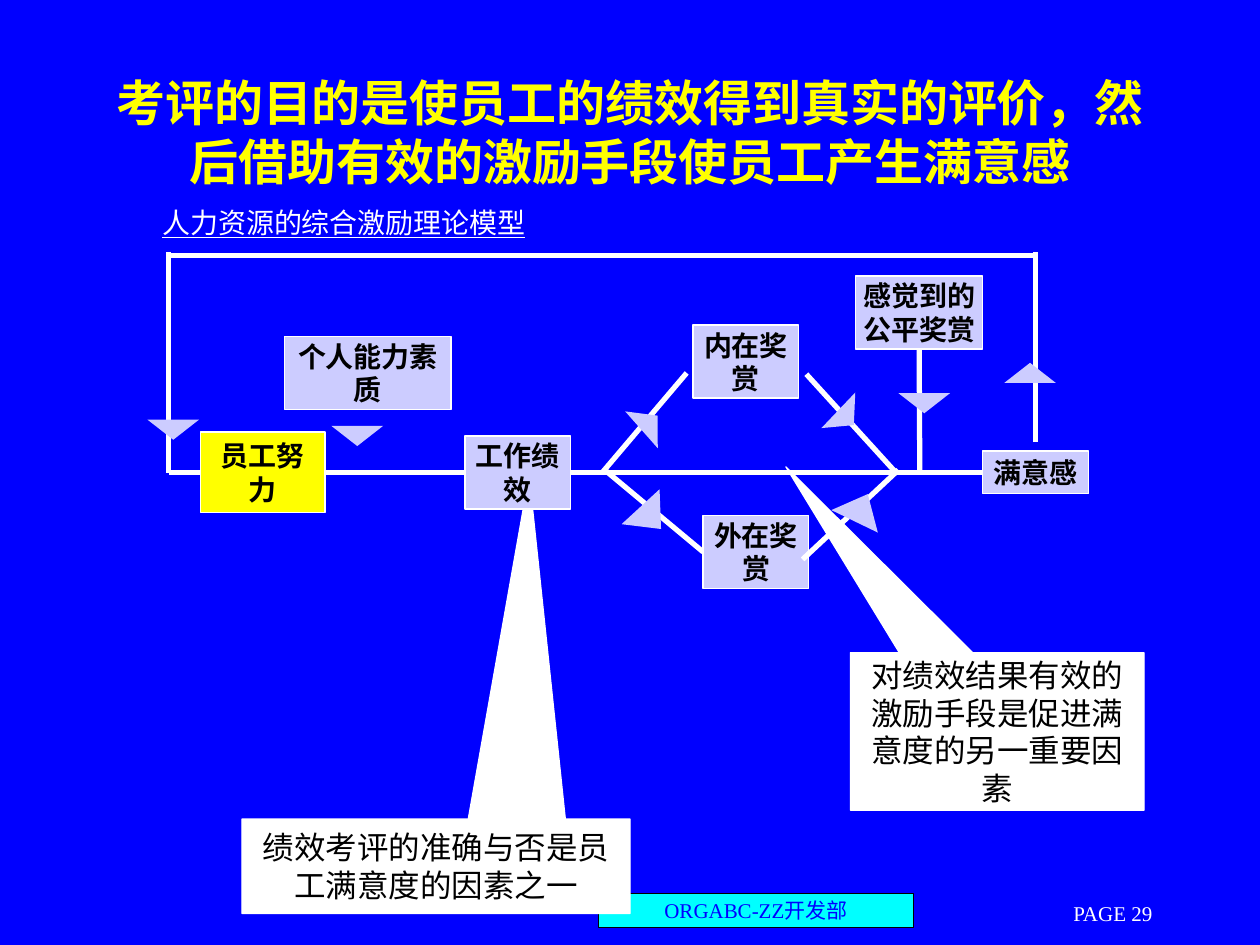
import pptx
import pptx.util
import pptx.dml.color
import pptx.enum.shapes
import pptx.enum.text
import pptx.oxml.ns
import lxml.etree

Inches = pptx.util.Inches
Pt = pptx.util.Pt
MSO_SHAPE = pptx.enum.shapes.MSO_SHAPE
ALIGN = pptx.enum.text.PP_ALIGN
COLORS = {
    "background": "0000FF",
    "title": "FFFF00",
    "effort": "FFFF00",
    "node": "CCCCFF",
    "white": "FFFFFF",
    "black": "000000",
    "footer": "00FFFF",
}
LATIN_FONT = "Times New Roman"
CHINESE_FONT = "Noto Sans CJK SC"


def rgb(name):
    return pptx.dml.color.RGBColor.from_string(COLORS[name])


def write(shape, text, size, color, bold=False, underline=False, font=LATIN_FONT,
          align=ALIGN.CENTER, wrap=True, margins=(0.1, 0.05)):
    frame = shape.text_frame
    frame.text = text
    frame.word_wrap = wrap
    frame.auto_size = pptx.enum.text.MSO_AUTO_SIZE.NONE
    frame.vertical_anchor = pptx.enum.text.MSO_ANCHOR.MIDDLE
    frame.margin_left = frame.margin_right = Inches(margins[0])
    frame.margin_top = frame.margin_bottom = Inches(margins[1])
    paragraph = frame.paragraphs[0]
    paragraph.alignment = align
    for run in paragraph.runs:
        run.font.size = Pt(size)
        run.font.bold = bold
        run.font.underline = underline
        run.font.color.rgb = rgb(color)
        run.font.name = font
        east_asian = lxml.etree.SubElement(run.font._element, pptx.oxml.ns.qn("a:ea"))
        east_asian.set("typeface", CHINESE_FONT)


def add_filled(slide, kind, box, fill, line=None):
    shape = slide.shapes.add_shape(kind, *map(Inches, box))
    shape.shadow.inherit = False
    shape.fill.solid()
    shape.fill.fore_color.rgb = rgb(fill)
    if line:
        shape.line.color.rgb = rgb(line)
        shape.line.width = Pt(0.75)
    else:
        shape.line.fill.background()
    return shape


def add_line(slide, start, end):
    line = slide.shapes.add_connector(
        pptx.enum.shapes.MSO_CONNECTOR.STRAIGHT, *map(Inches, (*start, *end)))
    line.line.color.rgb = rgb("white")
    line.line.width = Pt(3)
    lxml.etree.SubElement(line._element.spPr, pptx.oxml.ns.qn("a:effectLst"))
    return line


def add_title(slide, box, text):
    title = slide.shapes.title
    title.left, title.top, title.width, title.height = map(Inches, box)
    write(title, text, 28, "title", bold=True, font=CHINESE_FONT)


def add_subtitle(slide, box, text):
    subtitle = slide.shapes.add_textbox(*map(Inches, box))
    write(subtitle, text, 16, "white", underline=True, wrap=False)


def add_footer(slide, box):
    left, top, _, height = box
    department = add_filled(slide, MSO_SHAPE.RECTANGLE, (left, top, 2.5, height),
                            "footer", "black")
    write(department, "ORGABC-ZZ开发部", 12, "background", wrap=False)
    page = slide.shapes.add_textbox(
        *map(Inches, (left + 3.67, top + 0.03, 1.67, 0.25)))
    write(page, "PAGE 29", 12, "white", align=ALIGN.LEFT, wrap=False)


def add_callout(slide, box, text, tip):
    callout = add_filled(slide, MSO_SHAPE.RECTANGULAR_CALLOUT, box, "white", "white")
    callout.adjustments[0], callout.adjustments[1] = tip
    write(callout, text, 18, "black")


def add_motivation_model(slide, box):
    left, top, width, _ = box
    axis = 1.75
    loop_right = 6.88

    def place(x, y):
        return left + x, top + y

    paths = {
        "main": ((0, axis), (width, axis)),
        "loop left": ((0, axis), (0, 0)),
        "loop top": ((0, 0.03), (loop_right, 0.03)),
        "loop right": ((loop_right, 1.51), (loop_right, 0)),
        "to intrinsic": ((3.44, axis), (4.11, 0.96)),
        "to extrinsic": ((3.46, 1.73), (4.24, 2.38)),
        "fairness": ((5.96, axis), (5.96, 0.77)),
        "from intrinsic": ((5.77, axis), (5.06, 0.97)),
    }
    lines = {name: add_line(slide, place(*start), place(*end))
             for name, (start, end) in paths.items()}

    nodes = {}
    for text, x, y, w, h in (
        ("员工努力", 0.25, 1.43, 0.99, 0.64),
        ("个人能力素质", 0.92, 0.67, 1.32, 0.58),
        ("工作绩效", 2.35, 1.46, 0.84, 0.58),
        ("外在奖赏", 4.24, 2.09, 0.84, 0.58),
        ("内在奖赏", 4.16, 0.58, 0.84, 0.58),
        ("满意感", 6.46, 1.58, 0.84, 0.34),
        ("感觉到的公平奖赏", 5.45, 0.19, 1.01, 0.58),
    ):
        is_effort = text == "员工努力"
        node = add_filled(slide, MSO_SHAPE.RECTANGLE, (*place(x, y), w, h),
                          "effort" if is_effort else "node", "white")
        write(node, text, 16, "black", bold=True,
              margins=(0.1, 0.05) if is_effort else (0, 0))
        nodes[text] = node

    lines["main"].end_connect(nodes["满意感"], 3)
    lines["to extrinsic"].end_connect(nodes["外在奖赏"], 1)
    lines["fairness"].end_connect(nodes["感觉到的公平奖赏"], 2)
    add_line(slide, place(5.79, 1.73), place(5.03, 2.44))

    for x, y, w, h, rotation in (
        (-0.17, 1.33, 0.41, 0.16, 180),
        (1.29, 1.38, 0.41, 0.16, 180),
        (5.79, 1.12, 0.41, 0.16, 180),
        (6.63, 0.88, 0.41, 0.16, 0),
        (3.62, 1.27, 0.39, 0.17, 48.5),
        (5.18, 1.23, 0.39, 0.17, 133.6),
        (5.29, 1.91, 0.41, 0.24, 25.8),
        (3.62, 1.99, 0.41, 0.24, 137.4),
    ):
        marker = add_filled(slide, MSO_SHAPE.ISOSCELES_TRIANGLE,
                            (*place(x, y), w, h), "node")
        marker.rotation = rotation


def main():
    deck = pptx.Presentation()
    deck.slide_width, deck.slide_height = Inches(10), Inches(7.5)
    slide = deck.slides.add_slide(deck.slide_layouts.get_by_name("Title Only"))
    slide.background.fill.solid()
    slide.background.fill.fore_color.rgb = rgb("background")

    add_footer(slide, (4.75, 7.09, 5.34, 0.27))
    add_title(slide, (0.75, 0.42, 8.5, 1.25),
              "考评的目的是使员工的绩效得到真实的评价，然后借助有效的激励手段使员工产生满意感")
    add_subtitle(slide, (1.19, 1.58, 3.08, 0.37), "人力资源的综合激励理论模型")
    add_callout(slide, (1.92, 6.5, 3.08, 0.75),
                "绩效考评的准确与否是员工满意度的因素之一", (0.24, -4.13))
    add_motivation_model(slide, (1.34, 2, 7.3, 2.67))
    add_callout(slide, (6.75, 5.18, 2.33, 1.25),
                "对绩效结果有效的激励手段是促进满意度的另一重要因素", (-0.72, -1.68))
    deck.save("out.pptx")


if __name__ == "__main__":
    main()
